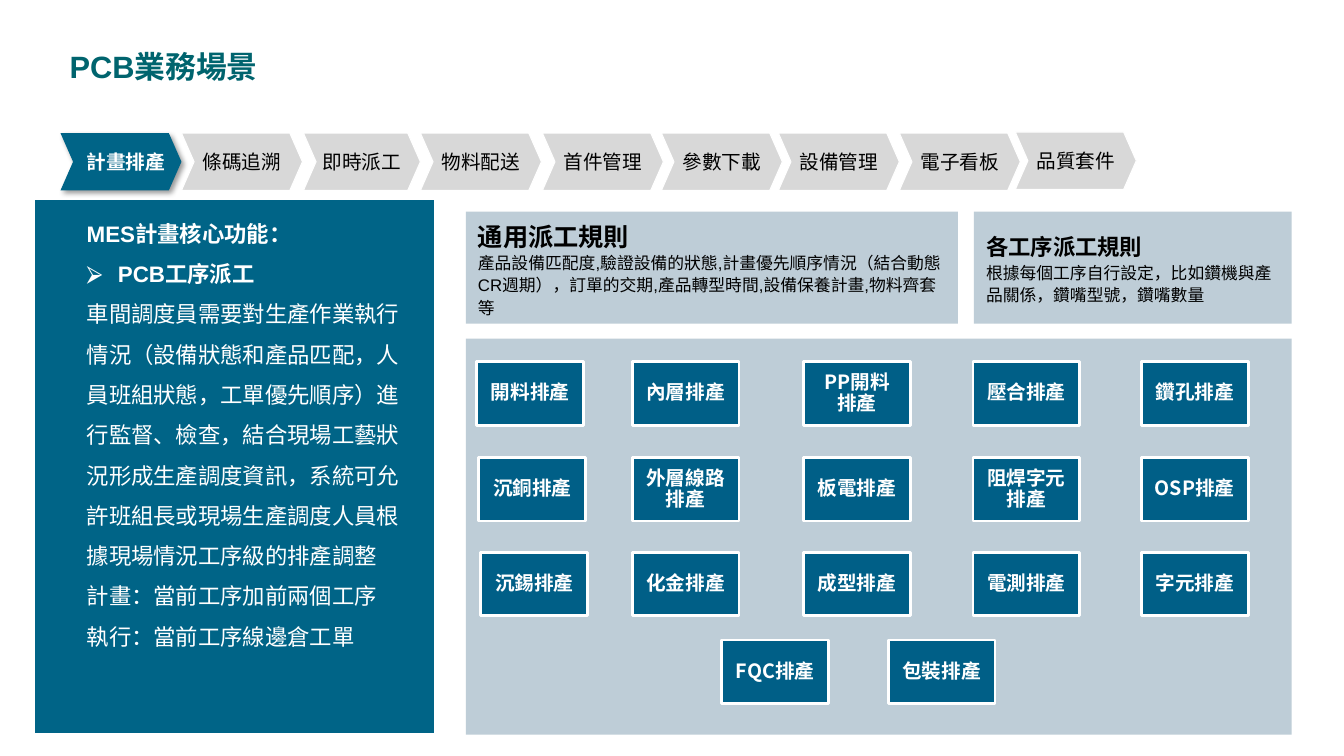
"""Builds the PCB business scenario slide with its process steps and dispatch rules."""
from lxml.etree import SubElement
from pptx import Presentation
from pptx.dml.color import RGBColor
from pptx.enum.shapes import MSO_SHAPE
from pptx.enum.text import MSO_ANCHOR, MSO_AUTO_SIZE, PP_ALIGN
from pptx.oxml.ns import qn
from pptx.util import Pt

PX = 9144
CJK_FONT = "Noto Sans CJK SC"
COLORS = {
    "title": "00646E",
    "panel": "006487",
    "card": "005F87",
    "area": "BECDD7",
    "step": "D8D8D8",
    "white": "FFFFFF",
    "black": "000000",
}

STEPS = [
    (180, 132, 120, "條碼追溯"),
    (301, 132, 116, "即時派工"),
    (417, 132, 120, "物料配送"),
    (538, 132, 120, "首件管理"),
    (656, 132, 120, "參數下載"),
    (772, 132, 120, "設備管理"),
    (892, 132, 120, "電子看板"),
    (1007, 131, 120, "品質套件"),
]
CORE_FUNCTIONS = [
    ("MES計畫核心功能：", True),
    ("PCB工序派工", True),
    ("車間調度員需要對生產作業執行情況（設備狀態和產品匹配，人員班組狀態，工單優先順序）"
     "進行監督、檢查，結合現場工藝狀況形成生產調度資訊，系統可允許班組長或現場生產調度人員"
     "根據現場情況工序級的排產調整", False),
    ("計畫：當前工序加前兩個工序", False),
    ("執行：當前工序線邊倉工單", False),
]
RULES = [
    (462, 488, 18, "通用派工規則",
     "產品設備匹配度,驗證設備的狀態,計畫優先順序情況（結合動態CR週期），"
     "訂單的交期,產品轉型時間,設備保養計畫,物料齊套等"),
    (966, 315, 16, "各工序派工規則",
     "根據每個工序自行設定，比如鑽機與產品關係，鑽嘴型號，鑽嘴數量"),
]
CARD_ROWS = [
    (359, (473, 627, 797, 965, 1132),
     ("開料排產", "內層排產", "PP開料\v排產", "壓合排產", "鑽孔排產")),
    (454, (475, 627, 797, 965, 1132),
     ("沉銅排產", "外層線路排產", "板電排產", "阻焊字元排產", "OSP排產")),
    (548, (477, 627, 797, 965, 1132),
     ("沉錫排產", "化金排產", "成型排產", "電測排產", "字元排產")),
    (635, (716, 881), ("FQC排產", "包裝排產")),
]


def rgb(name):
    """Return the named colour."""
    return RGBColor.from_string(COLORS[name])


def place(shape, left, top, width, height):
    """Move and size a shape in px."""
    box = {"left": left, "top": top, "width": width, "height": height}
    for side, length in box.items():
        setattr(shape, side, length * PX)


def paint(shape, fill, line=None, line_width=2):
    """Give a shape its fill and its outline."""
    shape.fill.solid()
    shape.fill.fore_color.rgb = rgb(fill)
    if line:
        shape.line.color.rgb = rgb(line)
        shape.line.width = Pt(line_width)
    else:
        shape.line.fill.background()


def frame_text(shape, insets, anchor):
    """Set insets in px and the vertical anchor, and return the text frame."""
    frame = shape.text_frame
    left, top, right, bottom = insets
    settings = {
        "word_wrap": True,
        "auto_size": MSO_AUTO_SIZE.NONE,
        "vertical_anchor": anchor,
        "margin_left": left * PX,
        "margin_top": top * PX,
        "margin_right": right * PX,
        "margin_bottom": bottom * PX,
    }
    for name, value in settings.items():
        setattr(frame, name, value)
    return frame


def write(frame, text, size, color, bold=False, font="Arial",
          align=PP_ALIGN.LEFT, spacing=1.0):
    """Write a paragraph into the frame and return it."""
    first = frame.paragraphs[0]
    paragraph = frame.add_paragraph() if first.runs else first
    paragraph.text = text
    paragraph.alignment = align
    paragraph.line_spacing = spacing
    for run in paragraph.runs:
        for name, value in {"size": Pt(size), "bold": bold, "name": font}.items():
            setattr(run.font, name, value)
        run.font.color.rgb = rgb(color)
        SubElement(run.font._element, qn("a:ea"), typeface=CJK_FONT)
    return paragraph


def set_bullet(paragraph, char=None, indent=0):
    """Give a paragraph a hanging bullet, or none."""
    paragraph.space_before = Pt(0)
    properties = paragraph._p.get_or_add_pPr()
    properties.set("marL", str(indent * PX))
    properties.set("indent", str(-indent * PX))
    if char:
        bullet_color = SubElement(properties, qn("a:buClr"))
        SubElement(bullet_color, qn("a:srgbClr"), val=COLORS["white"])
        SubElement(properties, qn("a:buChar"), char=char)
    else:
        SubElement(properties, qn("a:buNone"))


def cast_shadow(shape):
    """Add a soft shadow to the lower right."""
    effects = shape._element.spPr.find(qn("a:effectLst"))
    outer = SubElement(effects, qn("a:outerShdw"), blurRad=str(Pt(4)), dist=str(Pt(3)),
                       dir="2700000", algn="tl", rotWithShape="0")
    tint = SubElement(outer, qn("a:srgbClr"), val=COLORS["black"])
    SubElement(tint, qn("a:alpha"), val="40000")


def add_block(slide, box, fill, line=None, line_width=2, preset=MSO_SHAPE.RECTANGLE):
    """Add a filled preset shape without a shadow."""
    block = slide.shapes.add_shape(preset, *(length * PX for length in box))
    block.shadow.inherit = False
    paint(block, fill, line, line_width)
    return block


def add_step(slide, left, top, width, name, current=False):
    """Add one chevron of the process, highlighted if it is the current one."""
    fill, line = ("panel", None) if current else ("step", "white")
    step = add_block(slide, (left, top, width, 57), fill, line, 0.75, MSO_SHAPE.CHEVRON)
    step.adjustments[0] = 0.22
    frame = frame_text(step, (10 if current else 0, 0, 0, 0), MSO_ANCHOR.MIDDLE)
    write(frame, name, 14, "white" if current else "black", current, align=PP_ALIGN.CENTER)
    if current:
        cast_shadow(step)


def add_rule(slide, left, width, heading_size, heading, detail):
    """Add a box with a dispatch rule."""
    rule = add_block(slide, (left, 210, width, 111), "area")
    frame = frame_text(rule, (12, 6, 12, 6), MSO_ANCHOR.MIDDLE)
    write(frame, heading, heading_size, "black", True, spacing=1.1)
    write(frame, detail, 12, "black", spacing=1.1)


def add_card(slide, left, top, name):
    """Add a card for one scheduled process."""
    card = add_block(slide, (left, top, 106, 63), "card", "white")
    frame = frame_text(card, (6, 6, 6, 6), MSO_ANCHOR.MIDDLE)
    write(frame, name, 14, "white", True, CJK_FONT, PP_ALIGN.CENTER, 0.9)


def fill_title(title):
    """Place and write the slide title."""
    place(title, 0, 0, 1333, 139)
    frame = frame_text(title, (69, 47, 370, 26), MSO_ANCHOR.TOP)
    write(frame, "PCB業務場景", 22, "title", True)


def fill_core_functions(panel):
    """Place and write the panel of core functions."""
    place(panel, 33, 197, 399, 532)
    paint(panel, "panel", "white")
    frame = frame_text(panel, (53, 8, 16, 8), MSO_ANCHOR.TOP)
    for index, (text, bold) in enumerate(CORE_FUNCTIONS):
        paragraph = write(frame, text, 16, "white", bold, spacing=1.5)
        set_bullet(paragraph, *(("⮚", 31) if index == 1 else ()))


def main():
    """Build and save the slide."""
    deck = Presentation()
    deck.slide_width, deck.slide_height = 1333 * PX, 750 * PX
    slide = deck.slides.add_slide(deck.slide_layouts[1])
    fill_title(slide.shapes.title)
    fill_core_functions(slide.placeholders[1])
    add_step(slide, 60, 132, 120, "計畫排產", current=True)
    for step in STEPS:
        add_step(slide, *step)
    for rule in RULES:
        add_rule(slide, *rule)
    add_block(slide, (462, 336, 819, 393), "area")
    for top, lefts, names in CARD_ROWS:
        for left, name in zip(lefts, names):
            add_card(slide, left, top, name)
    deck.save("out.pptx")


if __name__ == "__main__":
    main()
